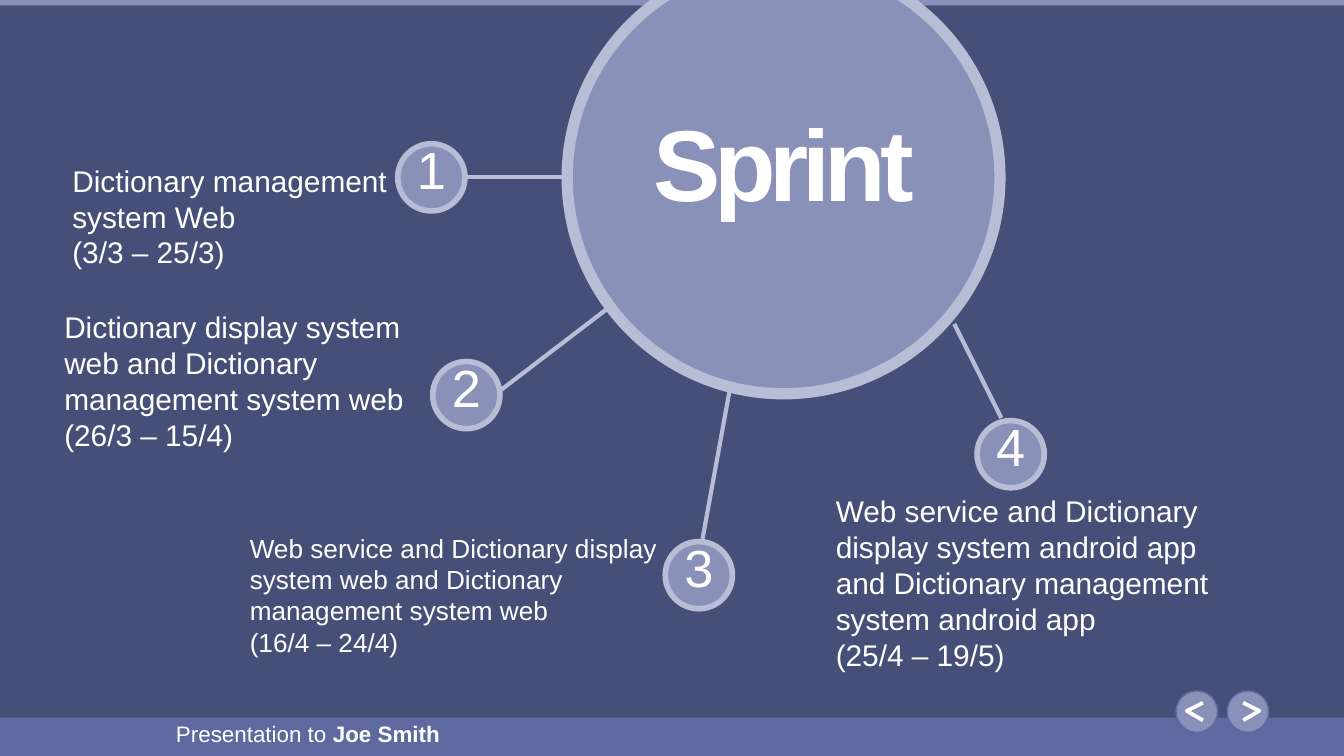
from dataclasses import dataclass

from lxml import etree
from pptx import Presentation
from pptx import util as u
from pptx.dml.color import RGBColor
from pptx.enum import shapes, text
from pptx.oxml import ns

FONT = "Arial"
WHITE, PALE, LILAC = "FFFFFF", "B8BDD5", "8991B9"
INDIGO, NAVY = "5E69A0", "464F78"
PAGE_WIDTH = 10
PAGE_HEIGHT = PAGE_WIDTH * 9 / 16
FOOTER_HEIGHT = 0.33
BADGE_SIZE = 0.5
BUTTON_SIZE = 0.31


@dataclass
class Sprint:
    number: str
    badge: tuple[float, float]
    line_start: tuple[float, float]
    line_end: tuple[float, float]
    label: tuple[float, float, float, float]
    size: int
    lines: list[str]


SPRINTS = [
    Sprint("1", (2.96, 1.07), (4.22, 1.32), (3.45, 1.32), (0.44, 1.16, 2.67, 0.94), 16,
           ["Dictionary management system Web", "(3/3 – 25/3)"]),
    Sprint("2", (3.22, 2.69), (5.81, 1.31), (3.73, 2.9), (0.38, 2.25, 2.95, 1.18), 16,
           ["Dictionary display system web and Dictionary management system web",
            "(26/3 – 15/4)"]),
    Sprint("3", (4.95, 4.03), (5.72, 1.31), (5.22, 4.05), (1.76, 3.91, 3.51, 1.04), 14,
           ["Web service and Dictionary display system web and Dictionary "
            "management system web", "(16/4 – 24/4)"]),
    Sprint("4", (7.27, 3.13), (7.1, 2.41), (7.45, 3.11), (6.12, 3.62, 3.51, 1.45), 16,
           ["Web service and Dictionary display system android app",
            "and Dictionary management system android app", "(25/4 – 19/5)"]),
]


def color(value: str) -> RGBColor:
    return RGBColor.from_string(value)


def set_font(font, size: float, bold: bool = False) -> None:
    font.name, font.size, font.bold = FONT, u.Pt(size), bold
    font.color.rgb = color(WHITE)


def add_shape(page, kind, left: float, top: float, width: float, height: float,
              fill: str, line: str | None = None, weight: float = 0):
    shape = page.shapes.add_shape(kind, *map(u.Inches, (left, top, width, height)))
    shape.shadow.inherit = False
    shape.fill.solid()
    shape.fill.fore_color.rgb = color(fill)
    if line:
        shape.line.color.rgb = color(line)
        shape.line.width = u.Pt(weight)
    else:
        shape.line.fill.background()
    return shape


def add_circle(page, left: float, top: float, diameter: float, line: str, weight: float):
    return add_shape(page, shapes.MSO_SHAPE.OVAL, left, top, diameter, diameter,
                     LILAC, line, weight)


def write_centered(shape, content: str, size: float, bold: bool = False):
    frame = shape.text_frame
    frame.word_wrap = False
    frame.vertical_anchor = text.MSO_ANCHOR.MIDDLE
    frame.margin_top = frame.margin_bottom = 0
    para = frame.paragraphs[0]
    para.alignment = text.PP_ALIGN.CENTER
    para.line_spacing = 0.67
    span = para.add_run()
    span.text = content
    set_font(para.font, size, bold)
    return span


def add_line(page, start: tuple[float, float], end: tuple[float, float]) -> None:
    line = page.shapes.add_connector(shapes.MSO_CONNECTOR.STRAIGHT,
                                     *map(u.Inches, (*start, *end)))
    line.line.color.rgb = color(PALE)
    line.line.width = u.Pt(2.25)
    etree.SubElement(line._element.spPr, ns.qn("a:effectLst"))


def add_label(page, sprint: Sprint) -> None:
    box = page.shapes.add_textbox(*map(u.Inches, sprint.label))
    frame = box.text_frame
    frame.word_wrap = True
    frame.auto_size = text.MSO_AUTO_SIZE.SHAPE_TO_FIT_TEXT
    frame.text = "\n".join(sprint.lines)
    for para in frame.paragraphs:
        set_font(para.font, sprint.size)


def add_button(page, left: float, tip: float, back: float) -> None:
    """Round button with a chevron pointing from back to tip."""
    add_circle(page, left, 5.14, BUTTON_SIZE, INDIGO, 0.75)
    builder = page.shapes.build_freeform(u.Inches(back), u.Inches(5.23))
    builder.add_line_segments([(u.Inches(tip), u.Inches(5.29)),
                               (u.Inches(back), u.Inches(5.36))], close=False)
    chevron = builder.convert_to_shape()
    chevron.shadow.inherit = False
    chevron.fill.background()
    chevron.line.color.rgb = color(WHITE)
    chevron.line.width = u.Pt(2)


def add_footer(page) -> None:
    add_shape(page, shapes.MSO_SHAPE.RECTANGLE, 0, PAGE_HEIGHT - FOOTER_HEIGHT,
              PAGE_WIDTH, FOOTER_HEIGHT, INDIGO)
    box = page.shapes.add_textbox(*map(u.Inches, (1.31, 5.36, 2.8, 0.2)))
    frame = box.text_frame
    frame.word_wrap = True
    frame.margin_left = frame.margin_right = frame.margin_top = frame.margin_bottom = 0
    for content, bold in (("Presentation to ", False), ("Joe Smith", True)):
        span = frame.paragraphs[0].add_run()
        span.text = content
        set_font(span.font, 12, bold)


def main() -> None:
    deck = Presentation()
    deck.slide_width, deck.slide_height = u.Inches(PAGE_WIDTH), u.Inches(PAGE_HEIGHT)
    page = deck.slides.add_slide(deck.slide_layouts[6])

    # Background, footer and main panel
    page.background.fill.solid()
    page.background.fill.fore_color.rgb = color(LILAC)
    add_footer(page)
    add_shape(page, shapes.MSO_SHAPE.RECTANGLE, 0, 0.04, 10.03, 5.3, NAVY)

    # Spokes, with the hub over their inner ends
    for sprint in SPRINTS:
        add_line(page, sprint.line_start, sprint.line_end)
    hub = add_circle(page, 4.22, -0.29, 3.22, PALE, 6)
    title = write_centered(hub, "Sprint", 54, bold=True)
    title._r.get_or_add_rPr().set("spc", "-330")

    # Numbered badges and their labels
    for sprint in SPRINTS:
        badge = add_circle(page, *sprint.badge, BADGE_SIZE, PALE, 3)
        write_centered(badge, sprint.number, 28)
        add_label(page, sprint)

    # Navigation buttons
    add_button(page, 8.75, tip=8.83, back=8.95)
    add_button(page, 9.13, tip=9.37, back=9.25)

    deck.save("out.pptx")


if __name__ == "__main__":
    main()
